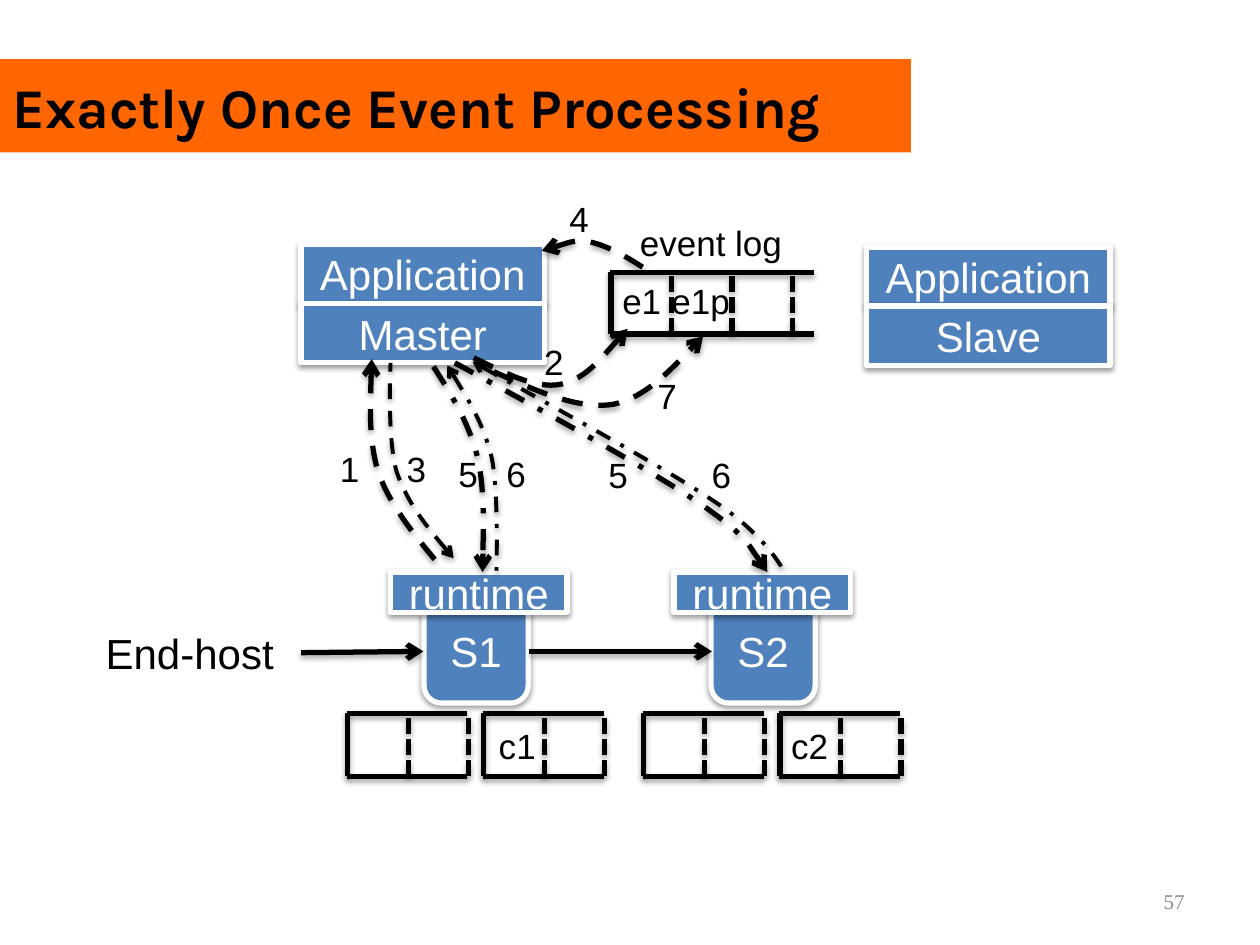
from dataclasses import dataclass

from pptx import Presentation, util as u
from pptx.dml.color import RGBColor
from pptx.enum import dml, shapes, text
from pptx.oxml import parse_xml
from pptx.oxml.ns import nsdecls, qn

COLUMNS, ROWS = 100, 75
UNIT = u.Inches(0.1)


@dataclass(frozen=True)
class Theme:
    banner: str = "FF6600"
    node: str = "4F81BD"
    paper: str = "FFFFFF"
    ink: str = "000000"
    muted: str = "8C8C8C"
    title_font: str = "Karla"
    body_font: str = "Arial"
    number_font: str = "Times New Roman"
    title_size: int = 32
    node_size: int = 24
    label_size: int = 20
    number_size: int = 12
    heavy: float = 3
    light: float = 2.25


@dataclass(frozen=True)
class Box:
    left: float
    top: float
    width: float
    height: float

    def share(self, x, y, w, h):
        return Box(self.left + x * self.width, self.top + y * self.height,
                   w * self.width, h * self.height)

    def emu(self):
        return [grid(v) for v in (self.left, self.top, self.width, self.height)]


THEME = Theme()
DASH = dml.MSO_LINE.DASH
DASH_DOT = dml.MSO_LINE.DASH_DOT
CELL_EDGE = dml.MSO_LINE.SQUARE_DOT
CELL = 4.8


def grid(value):
    return round(value * UNIT)


def write(shape, wording, size=THEME.label_size, color=THEME.ink, font=THEME.body_font,
          bold=False, align=text.PP_ALIGN.LEFT, anchor=text.MSO_ANCHOR.TOP,
          fit=text.MSO_AUTO_SIZE.NONE):
    frame = shape.text_frame
    frame.word_wrap = True
    frame.auto_size = fit
    frame.vertical_anchor = anchor
    paragraph = frame.paragraphs[0]
    paragraph.alignment = align
    run = paragraph.add_run()
    run.text = wording
    run.font.size = u.Pt(size)
    run.font.name = font
    run.font.bold = bold
    run.font.color.rgb = RGBColor.from_string(color)


def label(parent, box, wording, fit=text.MSO_AUTO_SIZE.SHAPE_TO_FIT_TEXT, **style):
    write(parent.add_textbox(*box.emu()), wording, fit=fit, **style)


def cast_shadow(shape, opacity, distance):
    properties = shape.element.spPr
    for old in properties.findall(qn("a:effectLst")):
        properties.remove(old)
    properties.append(parse_xml(
        f'<a:effectLst {nsdecls("a")}><a:outerShdw blurRad="40000" dist="{distance}" '
        f'dir="5400000" rotWithShape="0"><a:srgbClr val="000000">'
        f'<a:alpha val="{opacity}000"/></a:srgbClr></a:outerShdw></a:effectLst>'))


def stroke(shape, weight=THEME.heavy, dash=None, arrow=None):
    shape.line.color.rgb = RGBColor.from_string(THEME.ink)
    shape.line.width = u.Pt(weight)
    if dash:
        shape.line.dash_style = dash
    if arrow:
        outline = shape.element.spPr.find(qn("a:ln"))
        outline.append(parse_xml(f'<a:{arrow} {nsdecls("a")} type="arrow"/>'))
    cast_shadow(shape, 35, 23000)


def segment(parent, start, end, **style):
    points = [grid(v) for v in (*start, *end)]
    stroke(parent.add_connector(shapes.MSO_CONNECTOR.STRAIGHT, *points), **style)


def node(parent, box, wording, outline=shapes.MSO_SHAPE.RECTANGLE):
    block = parent.add_shape(outline, *box.emu())
    block.fill.solid()
    block.fill.fore_color.rgb = RGBColor.from_string(THEME.node)
    block.line.color.rgb = RGBColor.from_string(THEME.paper)
    block.line.width = u.Pt(THEME.heavy)
    cast_shadow(block, 38, 20000)
    write(block, wording, size=THEME.node_size, color=THEME.paper,
          align=text.PP_ALIGN.CENTER, anchor=text.MSO_ANCHOR.MIDDLE)


def message(parent, points, **style):
    start, *controls = [(grid(x), grid(y)) for x, y in points]
    builder = parent.build_freeform(*start, scale=1.0)
    builder.add_line_segments(controls, close=False)
    curve = builder.convert_to_shape()
    route = curve.element.spPr.find(".//" + qn("a:path"))
    lines = route.findall(qn("a:lnTo"))
    for first in range(0, len(lines), 3):
        bend = parse_xml(f'<a:cubicBezTo {nsdecls("a")}/>')
        for line in lines[first:first + 3]:
            bend.append(line[0])
            route.remove(line)
        route.append(bend)
    curve.fill.background()
    stroke(curve, **style)


def title_bar(slide, box, wording):
    title = slide.shapes.title
    title.left, title.top, title.width, title.height = box.emu()
    title.fill.solid()
    title.fill.fore_color.rgb = RGBColor.from_string(THEME.banner)
    write(title, wording, size=THEME.title_size, font=THEME.title_font, bold=True,
          anchor=text.MSO_ANCHOR.MIDDLE)


def application(parent, box, role):
    stack = parent.add_group_shape().shapes
    for row, wording in enumerate(("Application", role)):
        node(stack, box.share(0, row / 2, 1, 1 / 2), wording)


def server(parent, box, name, host_offset):
    node(parent, box.share(host_offset, 0.2, 0.59, 0.8), name,
         shapes.MSO_SHAPE.ROUNDED_RECTANGLE)
    node(parent, box.share(0, 0, 1, 0.31), "runtime")


def queue(parent, box, cells):
    parts = parent.add_group_shape().shapes
    bottom = box.top + box.height
    for y in (box.top, bottom):
        segment(parts, (box.left, y), (box.left + box.width, y))
    for edge in range(cells + 1):
        x = box.left + 0.1 + edge * CELL
        segment(parts, (x, bottom), (x, box.top), dash=CELL_EDGE if edge else None)


def topology(parent):
    application(parent, Box(23.9, 19.4, 19.3, 9.4), "Master")
    application(parent, Box(68.8, 19.6, 19.3, 9.4), "Slave")
    server(parent, Box(31, 45.4, 14, 10.4), "S1", 0.19)
    server(parent, Box(53.5, 45.4, 14, 10.4), "S2", 0.21)
    label(parent, Box(7.4, 49.3, 16.4, 5), "End-host", size=THEME.node_size)
    segment(parent, (23.9, 51.8), (33.6, 51.7), arrow="tailEnd")
    segment(parent, (42, 51.7), (56.5, 51.7), arrow="tailEnd")


def queues(parent):
    queue(parent, Box(48.4, 21.6, 16.2, 4.9), 3)
    for left in (27.5, 38.3, 51, 61.8):
        queue(parent, Box(left, 56.6, 9.6, 5), 2)
    for wording, left, top, width in (
            ("event log", 49.8, 17.1, 14.4), ("e1", 48.4, 21.7, 5.5),
            ("e1p", 52.3, 21.7, 6.7), ("c1", 38.6, 57, 5.5), ("c2", 61.8, 57, 5.5)):
        label(parent, Box(left, top, width, 4.4), wording)


def messages(parent):
    to_end = dict(arrow="tailEnd")
    to_start = dict(arrow="headEnd", weight=THEME.light)
    steps = (
        ("1", (26, 35), DASH, to_end,
         ((34.5, 44.4), (32.7, 42.2), (30.9, 40), (30, 37.4),
          (29.2, 34.7), (29.5, 28.5), (29.5, 28.5))),
        ("2", (42.2, 26.5), DASH, to_end,
         ((37.6, 28.4), (40.1, 29.6), (42.5, 30.9), (44.5, 30.5),
          (46.5, 30.1), (49.8, 26.1), (49.8, 26.1))),
        ("3", (31.3, 35), DASH, to_start,
         ((36, 44.3), (34.2, 42.2), (32.4, 40), (31.5, 37.5),
          (30.7, 34.9), (31, 28.8), (31, 28.8))),
        ("4", (44.2, 15.2), DASH, to_end,
         ((51, 21.2), (49.6, 20.3), (48.2, 19.5), (46.8, 19.2),
          (45.5, 19), (43, 19.9), (43, 19.9))),
        ("5", (35.4, 35.4), DASH_DOT, to_end,
         ((34.4, 29.1), (35.8, 31.3), (37.2, 33.5), (37.9, 36.3),
          (38.5, 39), (38.3, 45.4), (38.3, 45.4))),
        ("5", (47.3, 35.5), DASH_DOT, to_end,
         ((36.1, 28.8), (43.6, 32.9), (51.1, 37), (55.3, 39.8),
          (59.4, 42.6), (60.9, 45.4), (60.9, 45.4))),
        ("6", (39.2, 35.4), DASH_DOT, to_start,
         ((35.5, 29), (36.9, 31.3), (38.3, 33.5), (39, 36.2),
          (39.6, 38.9), (39.4, 45.3), (39.4, 45.3))),
        ("6", (55.5, 35.5), DASH_DOT, to_start,
         ((37.5, 28.7), (45, 32.9), (52.5, 37), (56.7, 39.8),
          (60.8, 42.5), (62.2, 45.3), (62.2, 45.3))),
        ("7", (51.2, 29.2), DASH, to_end,
         ((39.2, 29.5), (42.5, 31), (45.8, 32.5), (48.6, 32.1),
          (51.3, 31.6), (55.8, 26.7), (55.8, 26.7))),
    )
    for step, corner, dash, style, points in steps:
        message(parent, points, dash=dash, **style)
        label(parent, Box(*corner, 5, 4.4), step)


def main():
    deck = Presentation()
    deck.slide_width, deck.slide_height = COLUMNS * UNIT, ROWS * UNIT
    slide = deck.slides.add_slide(deck.slide_layouts.get_by_name("Title Only"))
    title_bar(slide, Box(0, 4.7, 72.3, 7.4), "Exactly Once Event Processing")
    topology(slide.shapes)
    queues(slide.shapes)
    messages(slide.shapes)
    label(slide.shapes, Box(71.7, 69.5, 23.3, 4), "57", size=THEME.number_size,
          color=THEME.muted, font=THEME.number_font, align=text.PP_ALIGN.RIGHT,
          anchor=text.MSO_ANCHOR.MIDDLE, fit=text.MSO_AUTO_SIZE.NONE)
    deck.save("out.pptx")


if __name__ == "__main__":
    main()
